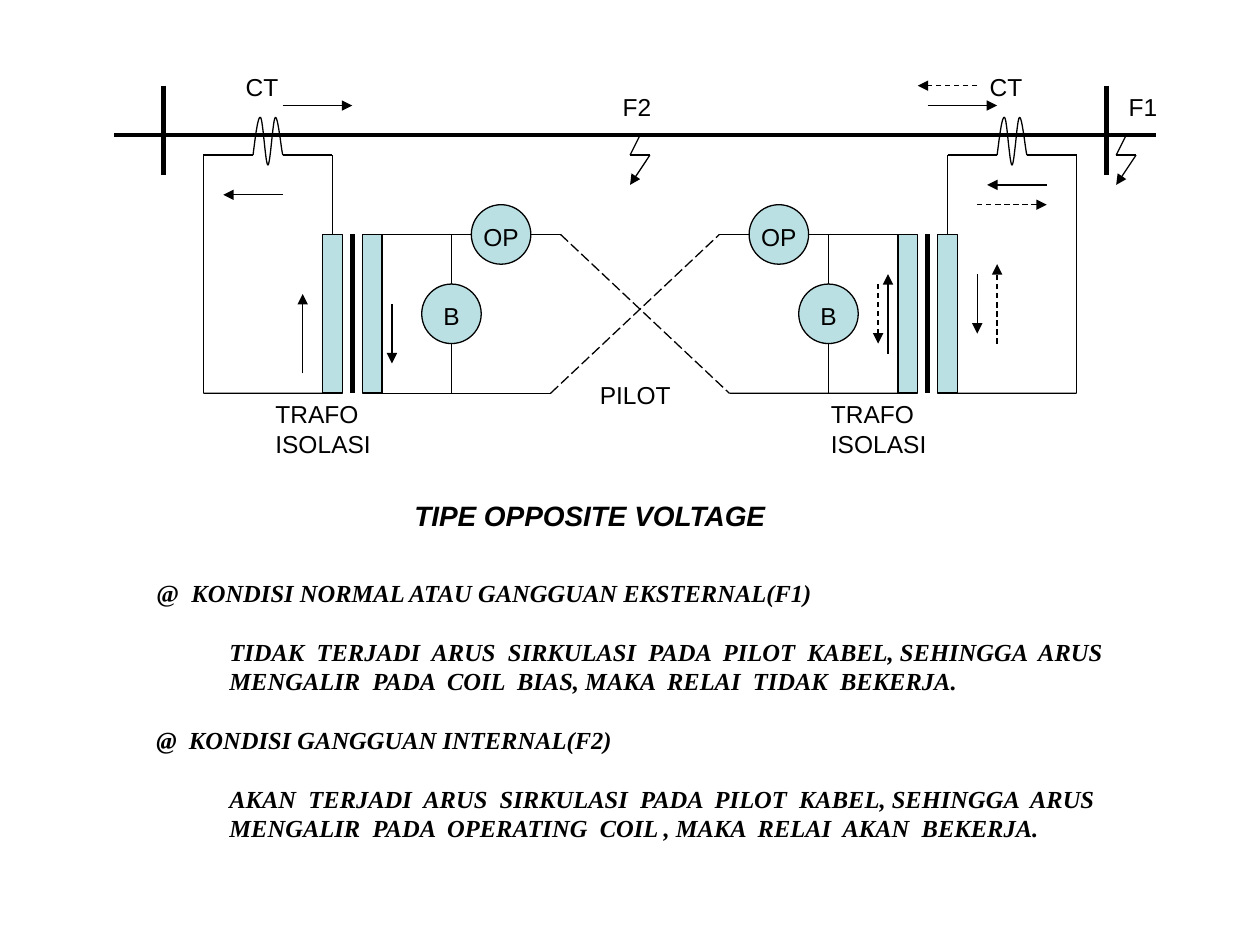
import pptx
import pptx.util
import pptx.dml.color
import pptx.enum.dml
import pptx.enum.shapes
import pptx.enum.text
import pptx.oxml
import pptx.oxml.ns

SHAPES = pptx.enum.shapes.MSO_SHAPE
DASHES = pptx.enum.dml.MSO_LINE
PITCH = 10 / 127
LEFT, TOP = 0.04, 0.05


def color(code):
    return pptx.dml.color.RGBColor.from_string(code)


def span_of(count):
    return pptx.util.Inches(count * PITCH)


def place(column, row):
    return pptx.util.Inches(LEFT + column * PITCH), pptx.util.Inches(TOP + row * PITCH)


def bezier(start, first, second, end, share):
    rest = 1 - share
    return tuple(
        rest ** 3 * a + 3 * rest ** 2 * share * b + 3 * rest * share ** 2 * c + share ** 3 * d
        for a, b, c, d in zip(start, first, second, end)
    )


class Diagram:
    ink = "000000"
    tint = "BBE0E3"
    label_font = "Arial"
    body_font = "Times New Roman"
    size = 14
    thin = 0.75

    def __init__(self, page):
        self.page = page
        self.joints = {}

    def outline(self, line, weight):
        line.color.rgb = color(self.ink)
        line.width = pptx.util.Pt(weight)

    def style(self, para, font, size, strong=False):
        para.font.name = font
        para.font.size = pptx.util.Pt(size)
        para.font.bold = para.font.italic = strong
        para.font.color.rgb = color(self.ink)

    def shape(self, kind, column, row, width, height):
        shape = self.page.shapes.add_shape(
            kind, *place(column, row), span_of(width), span_of(height))
        shape.shadow.inherit = False
        shape.fill.solid()
        shape.fill.fore_color.rgb = color(self.tint)
        self.outline(shape.line, self.thin)
        return shape

    def winding(self, column):
        width, height = 2, 16
        shape = self.shape(SHAPES.RECTANGLE, column, 23, width, height)
        self.joints[column + width / 2, 23] = shape, 0
        self.joints[column + width / 2, 23 + height] = shape, 2

    def relay(self, text, column, row):
        shape = self.shape(SHAPES.OVAL, column, row, 6, 6)
        frame = shape.text_frame
        frame.word_wrap = False
        frame.margin_left = frame.margin_right = frame.margin_bottom = 0
        frame.margin_top = pptx.util.Inches(0.03)
        frame.vertical_anchor = pptx.enum.text.MSO_ANCHOR.MIDDLE
        para = frame.paragraphs[0]
        para.text = text
        para.alignment = pptx.enum.text.PP_ALIGN.CENTER
        self.style(para, self.label_font, self.size)

    def wire(self, start, end, weight=thin, dash=None, arrow=False):
        wire = self.page.shapes.add_connector(
            pptx.enum.shapes.MSO_CONNECTOR.STRAIGHT, *place(*start), *place(*end))
        self.outline(wire.line, weight)
        if dash:
            wire.line.dash_style = dash
        if arrow:
            head = pptx.oxml.parse_xml(
                f'<a:tailEnd {pptx.oxml.ns.nsdecls("a")} type="triangle"/>')
            wire.line._get_or_add_ln().append(head)
        wire._element.spPr.append(
            pptx.oxml.parse_xml(f'<a:effectLst {pptx.oxml.ns.nsdecls("a")}/>'))
        if start in self.joints:
            wire.begin_connect(*self.joints[start])
        if end in self.joints:
            wire.end_connect(*self.joints[end])

    def coil(self, column, row):
        knots = [(0, 0), (0.25, -2), (0.5, -4), (0.75, -3.8), (1, -3.7), (1.25, 1), (1.5, 1),
                 (1.75, 1), (2, -3.7), (2.25, -3.8), (2.5, -4), (2.85, -0.6), (3, 0)]
        steps = 12
        points = [bezier(*knots[i:i + 4], step / steps)
                  for i in range(0, 12, 3) for step in range(1, steps + 1)]
        builder = self.page.shapes.build_freeform(*place(column, row))
        builder.add_line_segments(
            [place(column + x, row + y) for x, y in points], close=False)
        coil = builder.convert_to_shape()
        coil.shadow.inherit = False
        coil.fill.background()
        self.outline(coil.line, self.thin)

    def fault(self, column):
        self.wire((column, 13), (column - 1, 15))
        self.wire((column - 1, 15), (column + 1, 15))
        self.wire((column + 1, 15), (column - 1, 18), arrow=True)

    def label(self, text, column, row, width, size=size, strong=False):
        box = self.page.shapes.add_textbox(
            *place(column, row), span_of(width), span_of(4.3))
        box.text_frame.word_wrap = False
        para = box.text_frame.paragraphs[0]
        para.text = text
        self.style(para, self.label_font, size, strong)

    def notes(self, blocks, column, row, width, height):
        box = self.page.shapes.add_textbox(
            *place(column, row), span_of(width), span_of(height))
        frame = box.text_frame
        frame.word_wrap = True
        pitch = pptx.util.Pt(16.8)
        for index, (indent, mark, lines) in enumerate(blocks):
            for number, line in enumerate(lines):
                first = index == number == 0
                para = frame.paragraphs[0] if first else frame.add_paragraph()
                para.line_spacing = pitch
                para.space_before = 0 if first or number else pitch
                para._p.get_or_add_pPr().set("marL", str(pptx.util.Inches(indent)))
                if mark:
                    span = para.add_run()
                    span.text = mark
                    span.font.italic = False
                para.add_run().text = line
                self.style(para, self.body_font, self.size, True)


def draw(page):
    diagram = Diagram(page)
    diagram.wire((11, 13), (116, 13), 2.25)
    for column in (32, 36, 90, 94):
        diagram.winding(column)
    for column in (35, 93):
        diagram.wire((column, 23), (column, 39), 3)
    for column in (16, 111):
        diagram.wire((column, 8), (column, 17), 3)

    for column, outer, inner in ((25, 20, 33), (100, 108, 95)):
        diagram.coil(column, 15)
        diagram.wire((column - 5, 15), (column, 15))
        diagram.wire((column + 3, 15), (column + 8, 15))
        diagram.wire((outer, 15), (outer, 39))
        diagram.wire((inner, 15), (inner, 23))
        diagram.wire((outer, 39), (inner, 39))

    for bias, operate in ((42, 47), (80, 75)):
        diagram.relay("B", bias, 28)
        diagram.relay("OP", operate, 20)
        diagram.wire((bias + 3, 23), (bias + 3, 28))
        diagram.wire((bias + 3, 34), (bias + 3, 39))
    for start, end, row in ((38, 47, 23), (53, 56, 23), (38, 55, 39),
                            (81, 90, 23), (75, 72, 23), (73, 91, 39)):
        diagram.wire((start, row), (end, row))
    diagram.wire((56, 23), (73, 39), dash=DASHES.LONG_DASH)
    diagram.wire((55, 39), (72, 23), dash=DASHES.LONG_DASH)

    for column in (64, 113):
        diagram.fault(column)

    solid = [((28, 10), (35, 10)), ((93, 10), (100, 10)), ((28, 19), (22, 19)),
             ((30, 37), (30, 29)), ((39, 30), (39, 36)), ((105, 18), (99, 18)),
             ((98, 27), (98, 33)), ((89, 35), (89, 27))]
    dashed = [((98, 8), (92, 8)), ((98, 20), (105, 20)),
              ((100, 34), (100, 26)), ((88, 28), (88, 34))]
    for arrows, dash in ((solid, None), (dashed, DASHES.DASH)):
        for start, end in arrows:
            diagram.wire(start, end, dash=dash, arrow=True)

    for text, column, row, width in (
            ("CT", 23, 6, 5.8), ("CT", 98, 6, 5.8), ("F1", 112, 8, 5.5), ("F2", 61, 8, 5.5),
            ("PILOT", 58.7, 37, 9.7), ("TRAFO ISOLASI", 26, 39, 21.2),
            ("TRAFO ISOLASI", 82, 39, 21.2)):
        diagram.label(text, column, row, width)
    diagram.label("TIPE OPPOSITE VOLTAGE", 40, 49, 38.4, 16, True)

    diagram.notes([
        (0, "@  ", ["KONDISI NORMAL ATAU GANGGUAN EKSTERNAL(F1)"]),
        (0.58, "", ["TIDAK  TERJADI  ARUS  SIRKULASI  PADA  PILOT  KABEL, SEHINGGA  ARUS",
                    "MENGALIR  PADA  COIL  BIAS, MAKA  RELAI  TIDAK  BEKERJA."]),
        (0, "", ["@  KONDISI GANGGUAN INTERNAL(F2)"]),
        (0.58, "", ["AKAN  TERJADI  ARUS  SIRKULASI  PADA  PILOT  KABEL, SEHINGGA  ARUS",
                    "MENGALIR  PADA  OPERATING  COIL , MAKA  RELAI  AKAN  BEKERJA."]),
    ], 14, 57, 100, 34)


def main():
    deck = pptx.Presentation()
    deck.slide_width = pptx.util.Inches(10)
    deck.slide_height = pptx.util.Inches(7.5)
    draw(deck.slides.add_slide(deck.slide_layouts[6]))
    deck.save("out.pptx")


if __name__ == "__main__":
    main()
